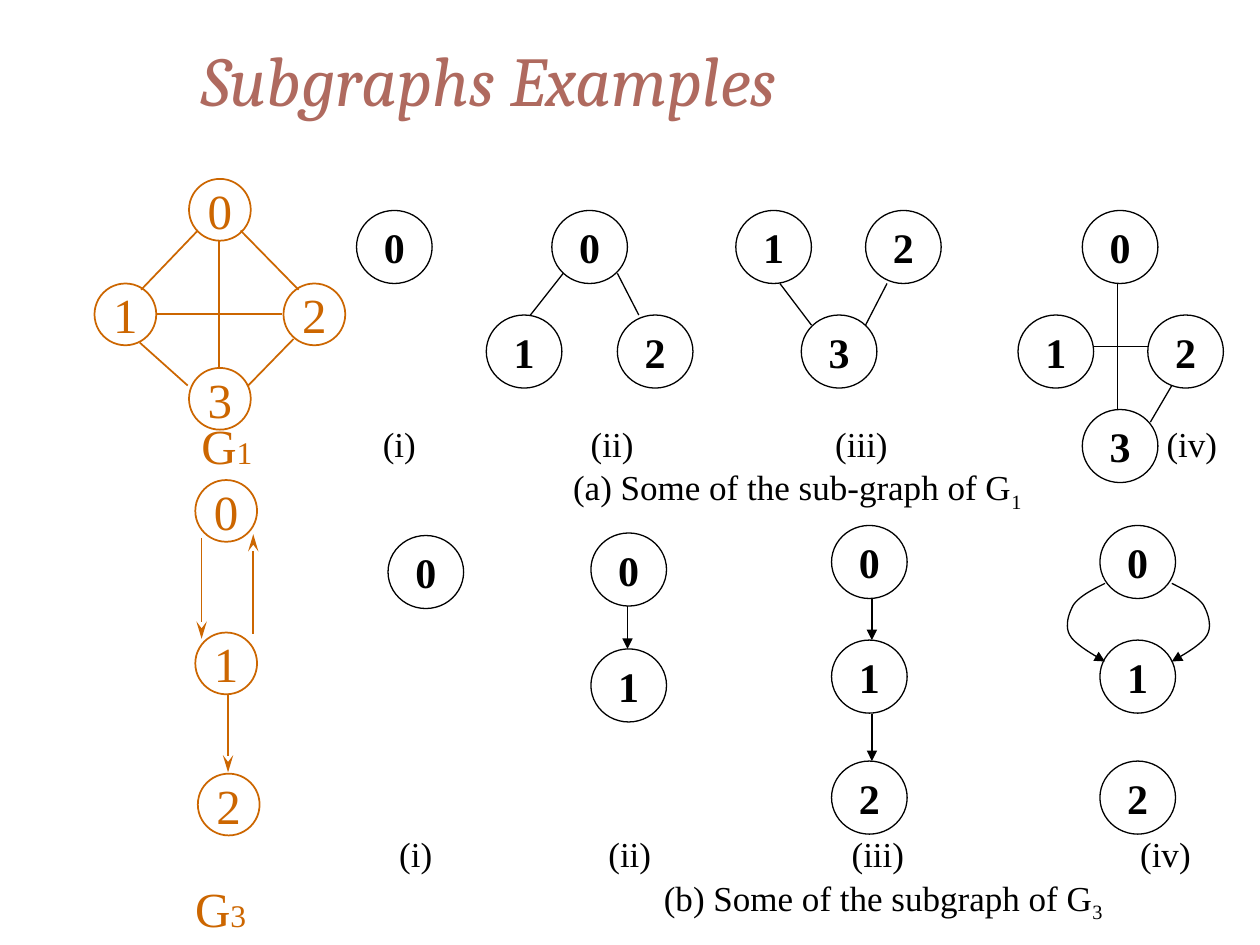
from lxml import etree
from pptx import Presentation
from pptx.dml.color import RGBColor
from pptx.enum.shapes import MSO_CONNECTOR, MSO_SHAPE
from pptx.enum.text import MSO_ANCHOR, PP_ALIGN
from pptx.oxml.ns import qn
from pptx.util import Inches, Pt

OVAL, STRAIGHT = MSO_SHAPE.OVAL, MSO_CONNECTOR.STRAIGHT
TOP, MIDDLE = MSO_ANCHOR.TOP, MSO_ANCHOR.MIDDLE
LEFT, CENTER = PP_ALIGN.LEFT, PP_ALIGN.CENTER

COLORS = {"black": "000000", "orange": "CC6600", "title": "AF6A5F", "white": "FFFFFF"}
SERIF = "Times New Roman"

# Two looks: the full graphs and their subgraphs
GRAPH = {"width": 0.49, "height": 0.49, "color": "orange", "fill": "white",
         "line": 1, "size": 28, "bold": False, "head": "stealth", "head_length": "lg"}
SUBGRAPH = {"width": 0.6, "height": 0.58, "color": "black", "fill": None,
            "line": 0.75, "size": 24, "bold": True, "head": "triangle", "head_length": "med"}

# Each drawing: style, nodes (label, left, top), edges (x1, y1, x2, y2), directed
DRAWINGS = [
    # Subgraphs of G1
    (SUBGRAPH, [("0", 2.83, 1.67)], [], False),
    (SUBGRAPH, [("0", 4.38, 1.67), ("1", 3.86, 2.5), ("2", 4.9, 2.5)],
     [(4.47, 2.17, 4.21, 2.5), (4.9, 2.17, 5.07, 2.5)], False),
    (SUBGRAPH, [("3", 6.36, 2.5), ("1", 5.84, 1.67), ("2", 6.87, 1.67)],
     [(6.44, 2.58, 6.19, 2.25), (6.87, 2.58, 7.04, 2.25)], False),
    (SUBGRAPH, [("0", 8.59, 1.67), ("1", 8.08, 2.5), ("2", 9.11, 2.5), ("3", 8.59, 3.25)],
     [(8.68, 2.75, 9.11, 2.75), (8.87, 2.25, 8.87, 3.25), (9.3, 3.06, 9.13, 3.35)], False),
    # Subgraphs of G3
    (SUBGRAPH, [("0", 3.08, 4.25)], [], True),
    (SUBGRAPH, [("0", 4.69, 4.23), ("1", 4.69, 5.15)], [(4.98, 4.81, 4.98, 5.15)], True),
    (SUBGRAPH, [("0", 6.6, 4.17), ("1", 6.6, 5.08), ("2", 6.6, 6.04)],
     [(6.92, 4.75, 6.92, 5.08), (6.92, 5.67, 6.92, 6.04)], True),
    (SUBGRAPH, [("0", 8.73, 4.17), ("1", 8.73, 5.08), ("2", 8.73, 6.04)], [], True),
    # G1 and G3
    (GRAPH, [("0", 1.5, 1.42), ("1", 0.75, 2.25), ("2", 2.25, 2.25), ("3", 1.5, 2.92)],
     [(1.74, 1.91, 1.74, 2.91), (1.24, 2.49, 2.24, 2.49), (1.57, 1.83, 1.12, 2.3),
      (1.91, 1.83, 2.37, 2.3), (1.11, 2.72, 1.49, 3.06), (2.33, 2.69, 1.97, 3.06)], False),
    (GRAPH, [("0", 1.55, 3.81), ("1", 1.55, 5.02), ("2", 1.57, 6.14)],
     [(1.81, 5.52, 1.81, 6.13), (2.01, 5.03, 2.01, 4.24), (1.6, 4.27, 1.6, 5.07)], True),
]

# Left curved edge of G3 (iv): start, then Bezier triples; the right one mirrors it
CURVE = [(8.77, 4.63), (8.67, 4.68), (8.57, 4.73), (8.52, 4.8), (8.48, 4.87),
         (8.45, 4.97), (8.49, 5.04), (8.53, 5.12), (8.72, 5.22), (8.77, 5.25)]
CURVE_CENTER_SUM = 8.77 + 9.3
CURVE_STEPS = 10

GRAPH_NAMES = [("G", "1", 1.5, 3.25), ("G", "3", 1.45, 6.92)]

# Number rows: box, anchor, x of each number, caption, subscript, caption x
NUMBERS = ["(i)", "(ii)", "(iii)", "(iv)"]
NUMBER_ROWS = [
    ((2.94, 3.3, 6.84, 0.82), TOP, (3.04, 4.69, 6.63, 9.26),
     "(a) Some of the sub-graph of G", "1", 4.55),
    ((3.07, 6.56, 6.49, 0.82), MIDDLE, (3.17, 4.83, 6.76, 9.05),
     "(b) Some of the subgraph of G", "3", 5.27),
]
INSET = 0.1


def rgb(name):
    return RGBColor.from_string(COLORS[name])


def add_run(paragraph, text, size, color, font=SERIF, bold=False, italic=False):
    run = paragraph.add_run()
    run.text = text
    run.font.name, run.font.size = font, Pt(size)
    run.font.bold, run.font.italic = bold, italic
    run.font.color.rgb = rgb(color)
    return run


def add_text_box(box, anchor, wrap):
    frame = slide.shapes.add_textbox(*map(Inches, box)).text_frame
    frame.word_wrap = wrap
    frame.vertical_anchor = anchor
    return frame


def style_line(shape, style, directed):
    shape.line.color.rgb = rgb(style["color"])
    shape.line.width = Pt(style["line"])
    if directed:
        line = shape.line._get_or_add_ln()
        etree.SubElement(line, qn("a:tailEnd"), type=style["head"], len=style["head_length"])


def add_node(style, label, left, top):
    node = slide.shapes.add_shape(OVAL, Inches(left), Inches(top),
                                  Inches(style["width"]), Inches(style["height"]))
    node.shadow.inherit = False
    if style["fill"]:
        node.fill.solid()
        node.fill.fore_color.rgb = rgb(style["fill"])
    else:
        node.fill.background()
    style_line(node, style, False)
    frame = node.text_frame
    frame.word_wrap = False
    frame.vertical_anchor = MIDDLE
    paragraph = frame.paragraphs[0]
    paragraph.alignment = CENTER
    add_run(paragraph, label, style["size"], style["color"], bold=style["bold"])


def add_edge(style, ends, directed):
    edge = slide.shapes.add_connector(STRAIGHT, *map(Inches, ends))
    style_line(edge, style, directed)
    etree.SubElement(edge._element.spPr, qn("a:effectLst"))


def bezier_points(points):
    for start in range(0, len(points) - 1, 3):
        a, b, c, d = points[start:start + 4]
        for step in range(1, CURVE_STEPS + 1):
            t = step / CURVE_STEPS
            u = 1 - t
            yield tuple(Inches(u**3 * p + 3 * u * u * t * q + 3 * u * t * t * r + t**3 * s)
                        for p, q, r, s in zip(a, b, c, d))


def add_curve(points):
    builder = slide.shapes.build_freeform(*map(Inches, points[0]))
    builder.add_line_segments(list(bezier_points(points)), close=False)
    curve = builder.convert_to_shape()
    curve.shadow.inherit = False
    curve.fill.background()
    style_line(curve, SUBGRAPH, True)


def add_number_row(box, anchor, stops, caption, subscript, caption_left):
    frame = add_text_box(box, anchor, True)
    text_left = box[0] + INSET
    numbers = frame.paragraphs[0]
    numbers.alignment = LEFT
    add_run(numbers, "\t".join(NUMBERS), 20, "black")
    tab_list = etree.SubElement(numbers._p.get_or_add_pPr(), qn("a:tabLst"))
    for stop in stops[1:]:
        etree.SubElement(tab_list, qn("a:tab"), pos=str(Inches(stop - text_left)), algn="l")

    title = frame.add_paragraph()
    title.alignment = LEFT
    title.space_before = Pt(1)
    title._p.get_or_add_pPr().set("marL", str(Inches(caption_left - text_left)))
    add_run(title, caption, 20, "black")
    lowered = add_run(title, subscript, 20, "black")
    lowered._r.get_or_add_rPr().set("baseline", "-25000")


presentation = Presentation()
presentation.slide_width, presentation.slide_height = Inches(10), Inches(7.5)
slide = presentation.slides.add_slide(presentation.slide_layouts[6])

# Graphs and subgraphs
for style, nodes, edges, directed in DRAWINGS:
    for node in nodes:
        add_node(style, *node)
    for edge in edges:
        add_edge(style, edge, directed)

# Curved edges
add_curve(CURVE)
add_curve([(CURVE_CENTER_SUM - x, y) for x, y in CURVE])

# Numbers and captions
for row in NUMBER_ROWS:
    add_number_row(*row)

# Graph names
for letter, index, left, top in GRAPH_NAMES:
    name = add_text_box((left, top, 0.61, 0.57), TOP, False).paragraphs[0]
    add_run(name, letter, 28, "orange")
    add_run(name, index, 18, "orange")

# Title
heading = add_text_box((1.5, 0, 8.5, 1.25), MIDDLE, True).paragraphs[0]
add_run(heading, "Subgraphs Examples", 40, "title", font="Cambria", italic=True)

presentation.save("out.pptx")
